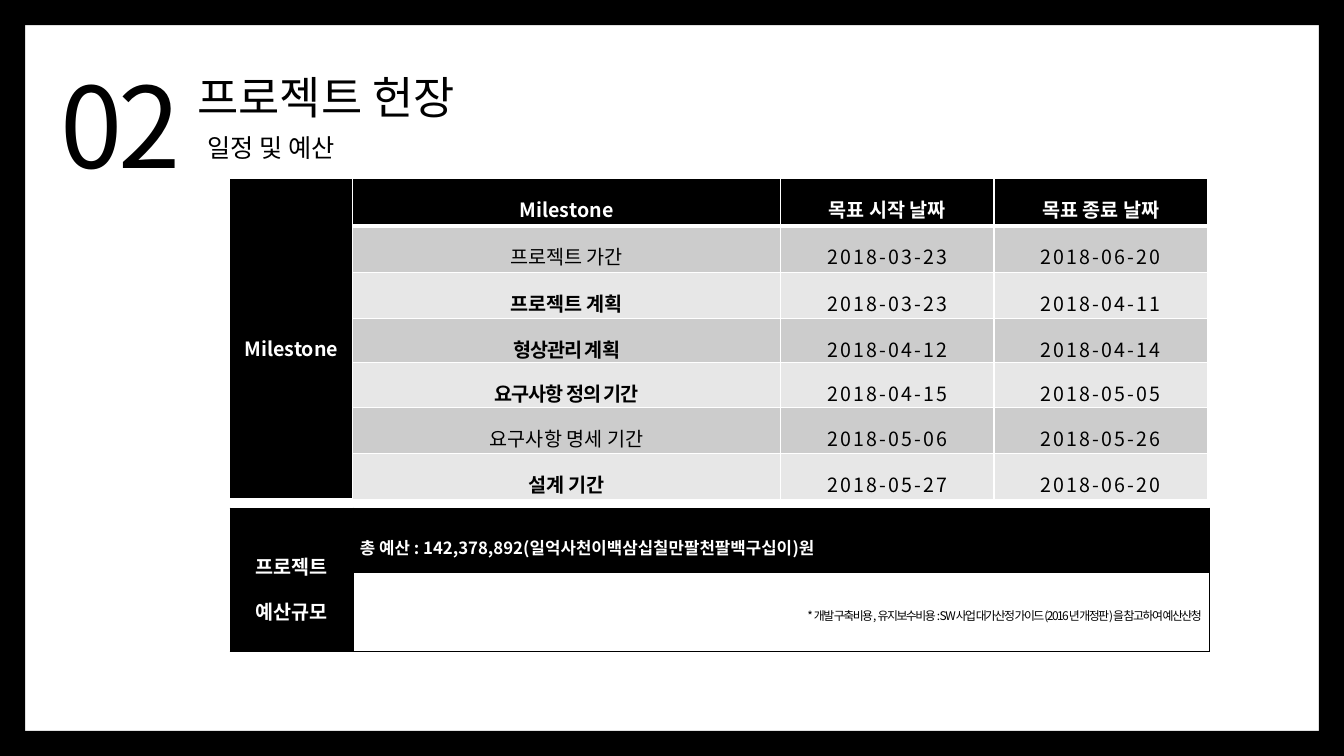
from lxml import etree
from pptx import Presentation
from pptx.dml.color import RGBColor
from pptx.enum.shapes import MSO_SHAPE
from pptx.enum.text import MSO_ANCHOR, MSO_AUTO_SIZE, PP_ALIGN
from pptx.oxml.ns import qn
from pptx.util import Inches, Pt

RECT = MSO_SHAPE.RECTANGLE
MIDDLE, TOP = MSO_ANCHOR.MIDDLE, MSO_ANCHOR.TOP
GROW = MSO_AUTO_SIZE.SHAPE_TO_FIT_TEXT
LEFT, CENTER, RIGHT = PP_ALIGN.LEFT, PP_ALIGN.CENTER, PP_ALIGN.RIGHT
BLACK = RGBColor(0, 0, 0)
WHITE = RGBColor(255, 255, 255)
BANDS = RGBColor(0xCC, 0xCC, 0xCC), RGBColor(0xE7, 0xE7, 0xE7)
FONT = "Noto Sans CJK KR"

FRAME = [
    (0, 0, 0.25, 7.5),
    (13.08, 0, 0.25, 7.5),
    (0.12, 0, 13.11, 0.25),
    (0.14, 7.25, 13.11, 0.25),
]
# text, box, size, spacing, anchor, wrap
TITLES = [
    ("02", (0.5, 0.5, 1.85, 1.45), 80, -3, MIDDLE, True),
    ("프로젝트 헌장", (1.86, 0.64, 3.73, 0.64), 32, 0, TOP, True),
    ("일정 및 예산", (1.96, 1.26, 1.73, 0.4), 18, 0, TOP, False),
]
SIDE = "Milestone"
HEADS = ["Milestone", "목표 시작 날짜", "목표 종료 날짜"]
# stage, start, end, bold, spacing
STAGES = [
    ("프로젝트 가간", "2018-03-23", "2018-06-20", False, 0),
    ("프로젝트 계획", "2018-03-23", "2018-04-11", True, 0),
    ("형상관리 계획", "2018-04-12", "2018-04-14", True, -0.7),
    ("요구사항 정의 기간", "2018-04-15", "2018-05-05", True, -0.7),
    ("요구사항 명세 기간", "2018-05-06", "2018-05-26", False, 0),
    ("설계 기간", "2018-05-27", "2018-06-20", True, 0),
]
BUDGET = "프로젝트 예산규모"
TOTAL = "총 예산 : 142,378,892(일억사천이백삼십칠만팔천팔백구십이)원"
NOTE = ("* 개발 구축비용, 유지보수비용 : SW사업 대가산정 가이드"
        "(2016년 개정판)을 참고하여 예산산청")

PLAN_COLS = [1.22, 4.24, 2.12, 2.12]
PLAN_ROWS = [0.47, 0.46, 0.46, 0.44, 0.44, 0.46, 0.46]
COST_COLS = [1.22, 8.49]
COST_ROWS = [0.64, 0.44]


def write(frame, text, size, color=BLACK, bold=False, gap=0,
          align=LEFT, lead=None):
    """Put one styled run in the first paragraph and return the paragraph."""
    para = frame.paragraphs[0]
    para.alignment = align
    if lead:
        para.line_spacing = lead
    run = para.add_run()
    run.text = text
    font = run.font
    font.name, font.size, font.bold = FONT, Pt(size), bold
    font.color.rgb = color
    props = run._r.get_or_add_rPr()
    props.set("spc", str(round(gap * 100)))
    etree.SubElement(props, qn("a:ea")).set("typeface", FONT)
    return para


def border(cell, color, width, base=None):
    """Draw the four cell borders, with another width at the base if given."""
    props = cell._tc.get_or_add_tcPr()
    for spot, side in enumerate("LRTB"):
        size = base if base and side == "B" else width
        line = etree.Element(qn("a:ln" + side), w=str(Pt(size)))
        fill = etree.SubElement(line, qn("a:solidFill"))
        etree.SubElement(fill, qn("a:srgbClr"), val=str(color))
        props.insert(spot, line)


def grid(left, top, cols, rows):
    """Add a plain table with the given column widths and row heights."""
    table = slide.shapes.add_table(
        len(rows), len(cols), Inches(left), Inches(top),
        Inches(sum(cols)), Inches(sum(rows))).table
    table.first_row = table.horz_banding = False
    for col, width in zip(table.columns, cols):
        col.width = Inches(width)
    for row, height in zip(table.rows, rows):
        row.height = Inches(height)
    table.cell(0, 0).merge(table.cell(len(rows) - 1, 0))
    return table


def paint(cell, fill, line, width, base=None):
    """Set the fill, borders, margins and anchor of a cell."""
    cell.fill.solid()
    cell.fill.fore_color.rgb = fill
    cell.margin_left = cell.margin_right = Inches(0.07)
    cell.margin_top = cell.margin_bottom = Inches(0.02)
    cell.vertical_anchor = MIDDLE
    border(cell, line, width, base)


def plan():
    """Build the milestone table."""
    table = grid(2.28, 1.77, PLAN_COLS, PLAN_ROWS)
    for row in range(len(PLAN_ROWS)):
        for col in range(len(PLAN_COLS)):
            dark = row == 0 or col == 0
            fill = BLACK if dark else BANDS[(row - 1) % 2]
            paint(table.cell(row, col), fill, WHITE, 1, 3 if row == 0 else None)
    write(table.cell(0, 0).text_frame, SIDE, 14, WHITE, True,
          align=CENTER, lead=1.6)
    for col, head in enumerate(HEADS, 1):
        write(table.cell(0, col).text_frame, head, 14, WHITE, True,
              align=CENTER, lead=1.5)
    for row, (name, start, end, bold, gap) in enumerate(STAGES, 1):
        parts = [(name, bold, gap), (start, False, 1.5), (end, False, 1.5)]
        for col, (text, heavy, space) in enumerate(parts, 1):
            write(table.cell(row, col).text_frame, text, 14, BLACK, heavy,
                  space, CENTER, 1.5)


def cost():
    """Build the budget table."""
    table = grid(2.28, 5.04, COST_COLS, COST_ROWS)
    for row in range(2):
        for col in range(2):
            fill = WHITE if row and col else BLACK
            paint(table.cell(row, col), fill, BLACK, 0.5)
    write(table.cell(0, 0).text_frame, BUDGET, 14, WHITE, True,
          align=CENTER, lead=1.6)
    write(table.cell(0, 1).text_frame, TOTAL, 12, WHITE, True, lead=1.6)
    para = write(table.cell(1, 1).text_frame, NOTE, 8.5, gap=-1.1,
                 align=RIGHT, lead=1.4)
    para._p.get_or_add_pPr().set("marL", str(Inches(0.06)))


deck = Presentation()
deck.slide_width, deck.slide_height = Inches(13.33), Inches(7.5)
slide = deck.slides.add_slide(deck.slide_layouts[6])

for box in FRAME:
    bar = slide.shapes.add_shape(RECT, *map(Inches, box))
    bar.shadow.inherit = False
    bar.fill.solid()
    bar.fill.fore_color.rgb = BLACK
    bar.line.fill.background()

for text, box, size, gap, anchor, wrap in TITLES:
    frame = slide.shapes.add_textbox(*map(Inches, box)).text_frame
    frame.word_wrap, frame.auto_size = wrap, GROW
    frame.vertical_anchor = anchor
    write(frame, text, size, gap=gap)

plan()
cost()
deck.save("out.pptx")
